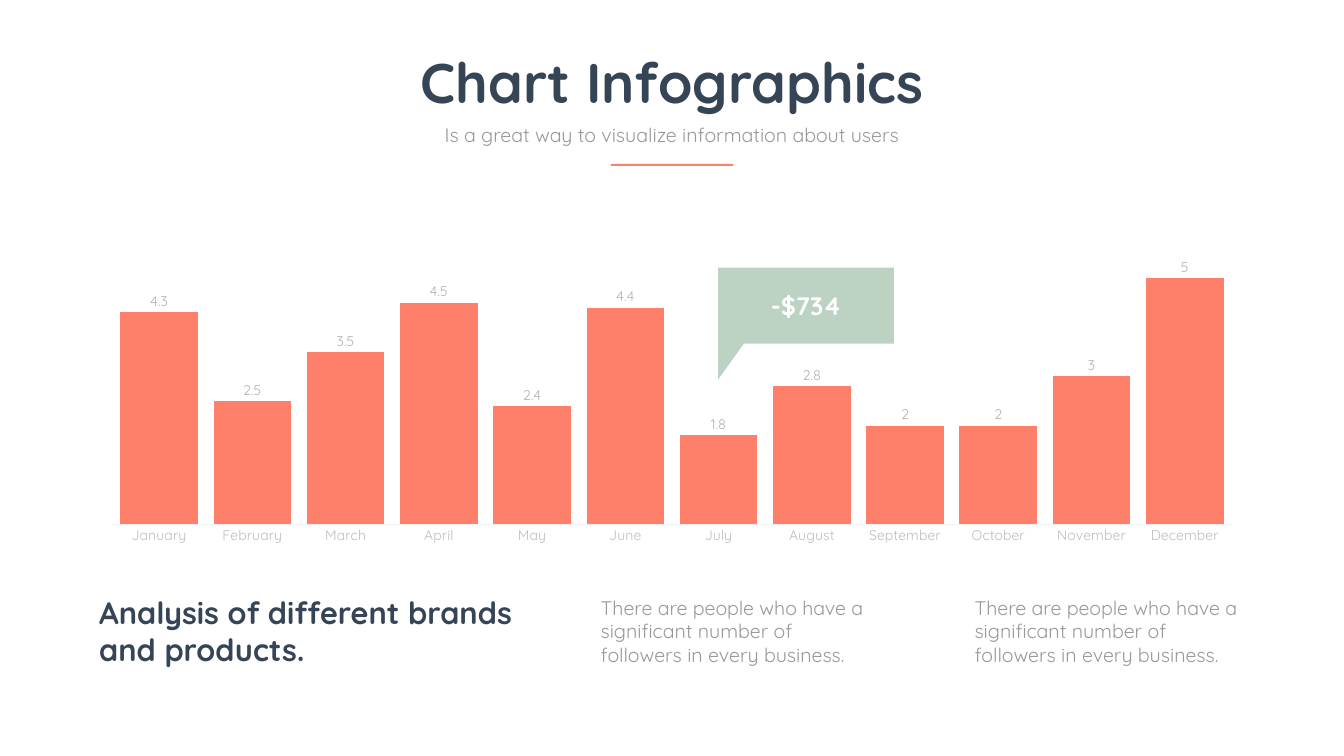
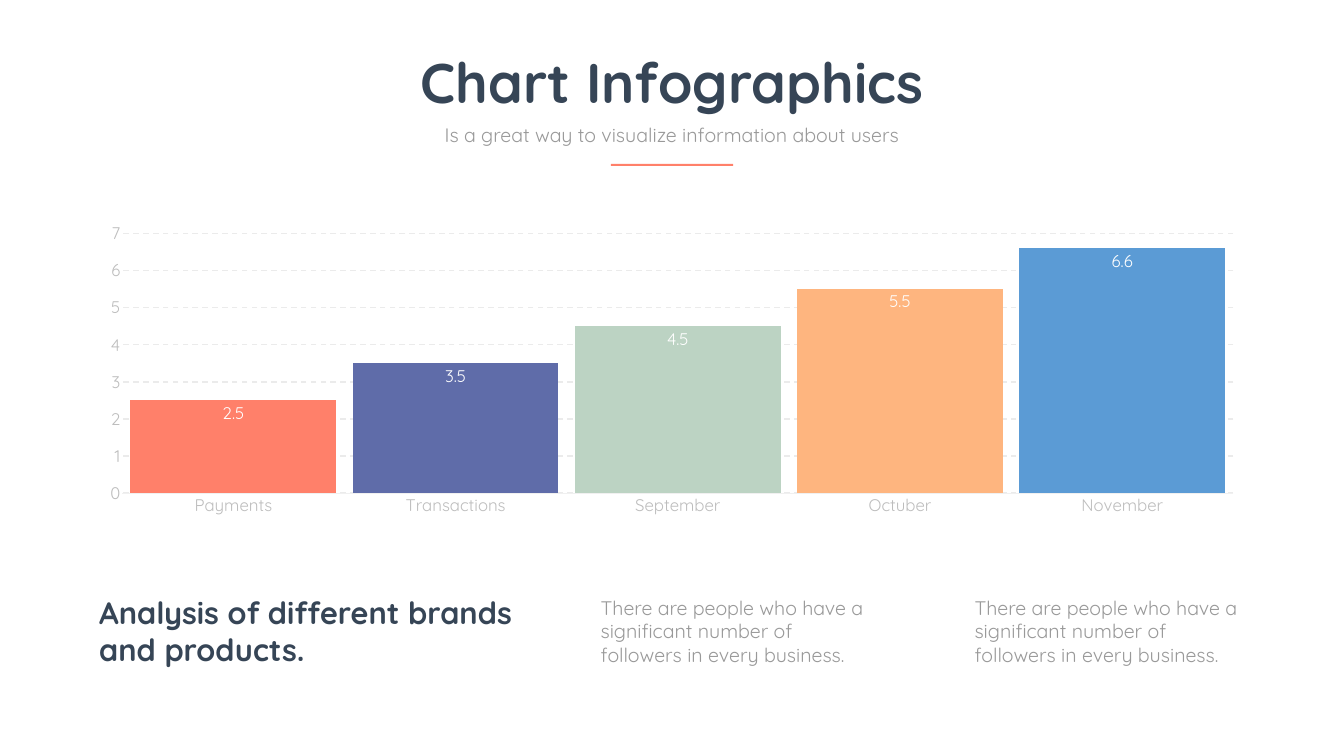
from pptx import Presentation
from pptx.chart.data import CategoryChartData
from pptx.dml.color import RGBColor
from pptx.enum.chart import XL_CHART_TYPE, XL_LABEL_POSITION, XL_TICK_MARK
from pptx.enum.dml import MSO_LINE
from pptx.enum.shapes import MSO_SHAPE
from pptx.enum.text import MSO_ANCHOR, MSO_AUTO_SIZE, PP_ALIGN
from pptx.oxml import parse_xml
from pptx.oxml.ns import nsdecls
from pptx.util import Pt

PX = 9144  # EMU in one px, 100 px to the inch
WIDE, HIGH = 2667, 1500
FONT = "Quicksand"
HEX = {
    "navy": "364556", "gray": "999999", "white": "FFFFFF",
    "coral": "FF806A", "indigo": "5F6CA9", "sage": "BCD3C3",
    "peach": "FEB57F", "blue": "5B9BD5",
    "axis": "BDBDBD", "label": "B2B2B2", "rule": "F0F0F0", "grid": "EBEBEB",
}
BODY = ("There are people who have a significant number of "
        "followers in every business.")


def color(name):
    return RGBColor.from_string(HEX[name])


def emu(*box):
    return [n * PX for n in box]


def style(font, size, tint, bold=False):
    font.name, font.size, font.bold = FONT, Pt(size), bold
    font.color.rgb = color(tint)


def write(shape, text, size, tint, bold=False, align=PP_ALIGN.LEFT,
          anchor=MSO_ANCHOR.TOP):
    frame = shape.text_frame
    frame.text = text
    frame.word_wrap = True
    frame.vertical_anchor = anchor
    para = frame.paragraphs[0]
    para.alignment = align
    style(para.runs[0].font, size, tint, bold)


def add_text(slide, box, *args, **kw):
    shape = slide.shapes.add_textbox(*emu(*box))
    write(shape, *args, **kw)
    shape.text_frame.auto_size = MSO_AUTO_SIZE.SHAPE_TO_FIT_TEXT


def add_block(slide, kind, box, tint):
    shape = slide.shapes.add_shape(kind, *emu(*box))
    shape.shadow.inherit = False
    shape.fill.solid()
    shape.fill.fore_color.rgb = color(tint)
    shape.line.fill.background()
    return shape


def add_head(slide, box):
    x, y, w, h = box
    title = slide.shapes.title
    title.left, title.top, title.width, title.height = emu(x, y, w, 145)
    write(title, "Chart Infographics", 80, "navy", True, PP_ALIGN.CENTER)
    title.text_frame.auto_size = MSO_AUTO_SIZE.SHAPE_TO_FIT_TEXT
    add_text(slide, (x + 167, y + 148, w - 335, 57),
             "Is a great way to visualize information about users",
             28, "gray", align=PP_ALIGN.CENTER)
    add_block(slide, MSO_SHAPE.RECTANGLE,
              (x + (w - 243) // 2, y + h - 4, 243, 4), "coral")


def add_foot(slide, box):
    x, y, w, h = box
    add_text(slide, (x, y, 930, h),
             "Analysis of different brands and products.", 44, "navy", True)
    for left in (x + 995, x + w - 565):
        add_text(slide, (left, y + 3, 565, 151), BODY, 28, "gray")


def set_plot(chart, x, y, w, h):
    """Fix the inner plot area, as fractions of the chart."""
    area = chart.plots[0]._element.getparent()
    for old in area.findall("{*}layout"):
        area.remove(old)
    parts = "".join(f'<c:{tag} val="{val}"/>' for tag, val in (
        ("layoutTarget", "inner"), ("xMode", "edge"), ("yMode", "edge"),
        ("x", x), ("y", y), ("w", w), ("h", h)))
    area.insert(0, parse_xml(
        f'<c:layout {nsdecls("c")}><c:manualLayout>{parts}'
        '</c:manualLayout></c:layout>'))


def add_bars(slide, box, data, size, tints, gap, lap, top, inner):
    """Add a column chart whose bars take the tints in turn."""
    feed = CategoryChartData()
    feed.categories = list(data)
    feed.add_series("Series 1", list(data.values()))
    chart = slide.shapes.add_chart(
        XL_CHART_TYPE.COLUMN_CLUSTERED, *emu(*box), feed).chart
    chart.has_title = chart.has_legend = False
    style(chart.font, size, "gray")
    set_plot(chart, *inner)

    plot = chart.plots[0]
    plot.vary_by_categories = False
    plot.gap_width, plot.overlap = gap, lap
    bars = plot.series[0]
    bars.format.fill.solid()
    bars.format.fill.fore_color.rgb = color(tints[0])
    for i, tint in enumerate(tints[1:], 1):
        fill = bars.points[i].format.fill
        fill.solid()
        fill.fore_color.rgb = color(tint)

    cat, val = chart.category_axis, chart.value_axis
    for axis in (cat, val):
        axis.major_tick_mark = axis.minor_tick_mark = XL_TICK_MARK.NONE
        style(axis.tick_labels.font, size, "axis")
    cat.format.line.color.rgb = color("rule")
    cat.format.line.width = Pt(0.75)
    val.minimum_scale, val.maximum_scale, val.major_unit = 0, top, 1
    val.format.line.fill.background()
    return chart


def set_labels(chart, size, tint, place):
    labels = chart.plots[0].series[0].data_labels
    labels.show_value = True
    labels.position = place
    style(labels.font, size, tint)


def add_months(slide, box):
    data = {
        "January": 4.3, "February": 2.5, "March": 3.5, "April": 4.5,
        "May": 2.4, "June": 4.4, "July": 1.8, "August": 2.8,
        "September": 2, "October": 2, "November": 3, "December": 5,
    }
    chart = add_bars(slide, box, data, 20, ["coral"], 20, 80, 6,
                     (0.02, 0.02, 0.96, 0.9))
    chart.value_axis.has_major_gridlines = False
    chart.value_axis.visible = False
    set_labels(chart, 20, "label", XL_LABEL_POSITION.OUTSIDE_END)


def add_steps(slide, box):
    data = {"Payments": 2.5, "Transactions": 3.5, "September": 4.5,
            "Octuber": 5.5, "November": 6.6}
    tints = ["coral", "indigo", "sage", "peach", "blue"]
    chart = add_bars(slide, box, data, 24, tints, 8, -27, 7,
                     (0.03, 0.055, 0.95, 0.85))
    line = chart.value_axis.major_gridlines.format.line
    line.color.rgb = color("grid")
    line.width = Pt(2)
    line.dash_style = MSO_LINE.DASH
    set_labels(chart, 24, "white", XL_LABEL_POSITION.INSIDE_END)


def add_callout(slide, box):
    x, y, w, h = box
    body = add_block(slide, MSO_SHAPE.ROUNDED_RECTANGLE, (x, y, w, 151), "sage")
    body.adjustments[0] = 0
    write(body, "-$734", 36, "white", True, PP_ALIGN.CENTER, MSO_ANCHOR.MIDDLE)
    tail = add_block(slide, MSO_SHAPE.RIGHT_TRIANGLE,
                     (x, y + h - 75, 54, 75), "sage")
    tail._element.spPr.get_or_add_xfrm().set("flipV", "1")


def add_page(deck):
    slide = deck.slides.add_slide(deck.slide_layouts[5])
    add_head(slide, (688, 90, 1291, 239))
    add_foot(slide, (187, 1174, 2302, 158))
    return slide


def main():
    deck = Presentation()
    deck.slide_width, deck.slide_height = emu(WIDE, HIGH)
    page = add_page(deck)
    add_months(page, (177, 441, 2313, 651))
    add_callout(page, (1425, 531, 349, 222))
    add_steps(add_page(deck), (173, 430, 2321, 606))
    deck.save("out.pptx")


if __name__ == "__main__":
    main()
